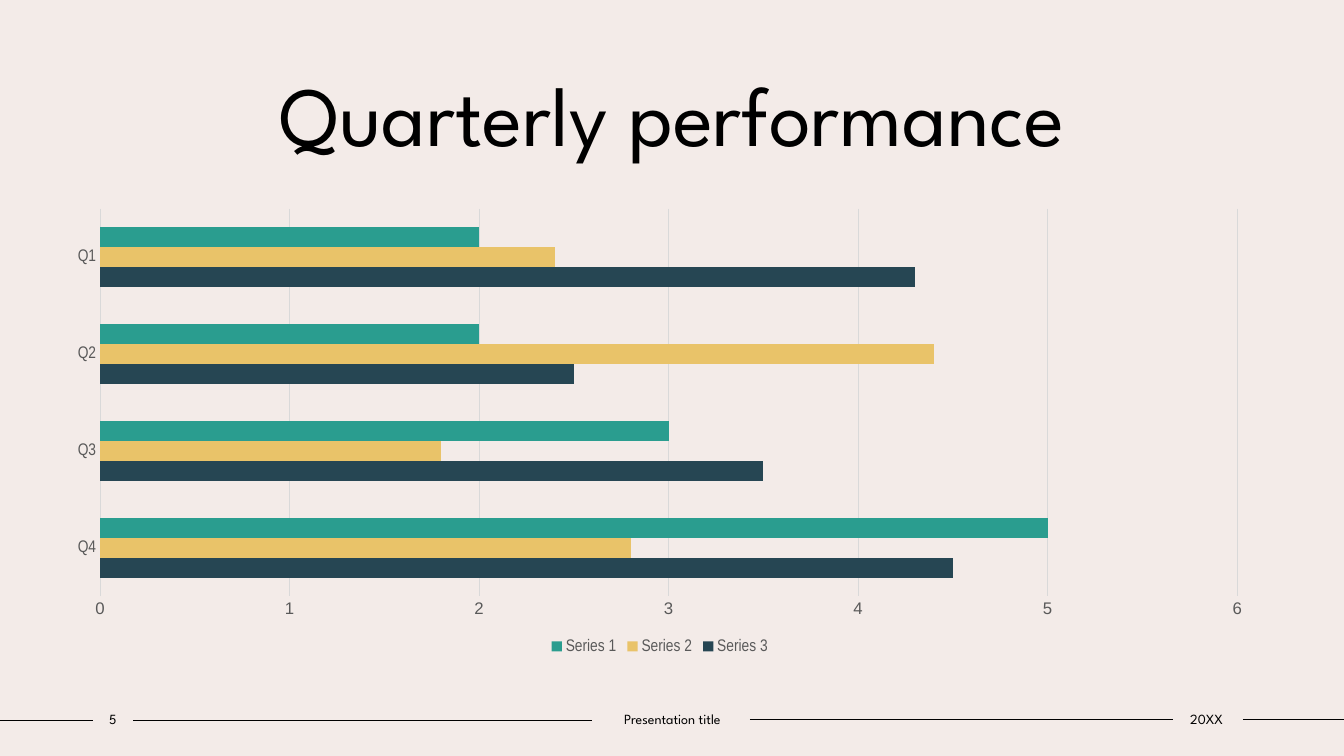
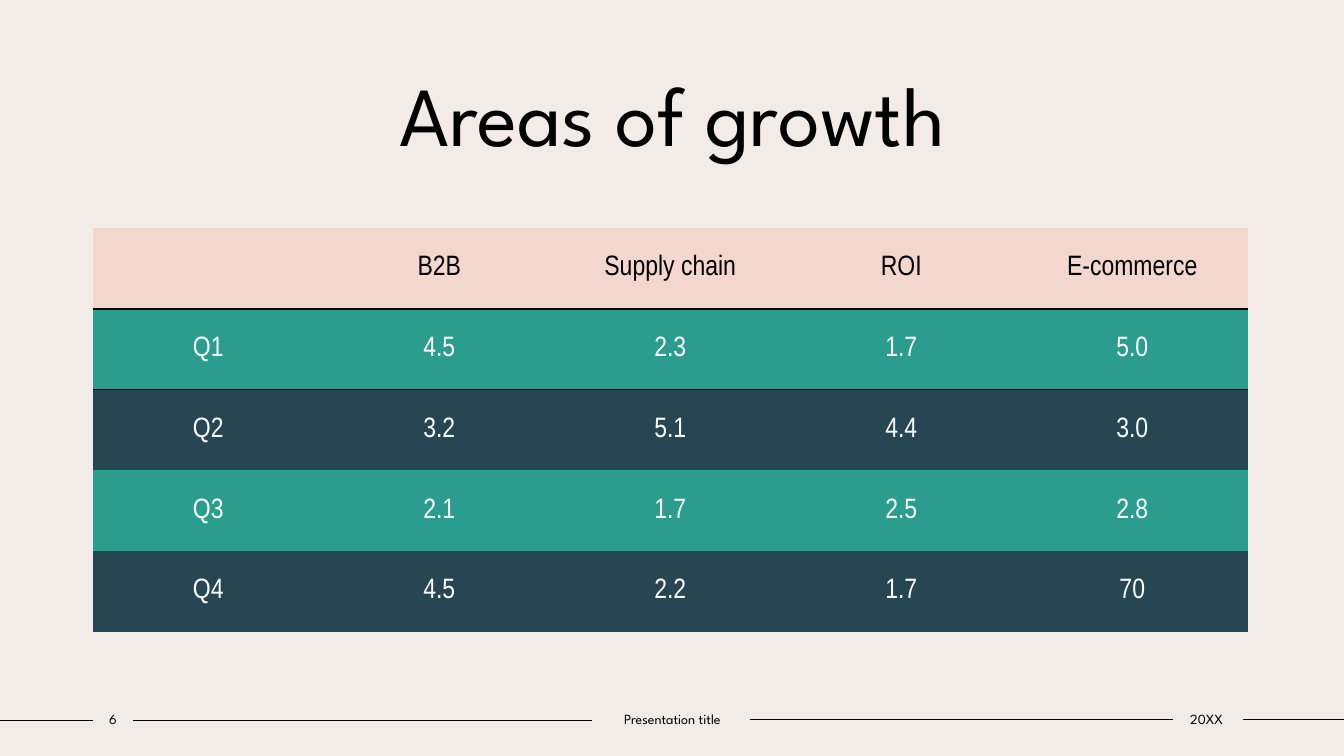
"""Build two report slides: a quarterly bar chart and a growth table."""
from dataclasses import dataclass

from lxml.etree import SubElement
from pptx import Presentation
from pptx.chart.data import CategoryChartData
from pptx.dml.color import RGBColor
from pptx.enum.chart import XL_CHART_TYPE as ChartType, XL_LEGEND_POSITION as LegendPosition
from pptx.enum.chart import XL_TICK_MARK as TickMark
from pptx.enum.shapes import MSO_CONNECTOR as Connector
from pptx.enum.text import MSO_ANCHOR as Anchor, PP_ALIGN as Align
from pptx.oxml import parse_xml
from pptx.oxml.ns import nsdecls, qn
from pptx.slide import Slide
from pptx.util import Inches, Pt

WIDTH, HEIGHT = Inches(13.333), Inches(7.5)
CREAM, BLUSH, BLACK, WHITE = "F3EBE8", "F3D6CD", "000000", "FFFFFF"
TEAL, GOLD, NAVY = "2A9D8F", "E9C369", "264653"
GREY, PALE_GREY = "595959", "D9D9D9"
HEADING_FONT, BODY_FONT, NUMBER_FONT = "League Spartan", "Arial Narrow", "Arial"
NO_STYLE = "{2D5ABB26-0587-4C30-8999-92F81FD0307C}"


@dataclass(frozen=True)
class Area:
    """A rectangle in percent of the slide's width and height."""
    left: float
    top: float
    width: float
    height: float

    def lengths(self) -> tuple[int, int, int, int]:
        """Return left, top, width and height as slide lengths."""
        return across(self.left), down(self.top), across(self.width), down(self.height)


@dataclass(frozen=True)
class Rule:
    """A horizontal footer line in percent of the slide."""
    start: float
    end: float
    level: float


@dataclass(frozen=True)
class Series:
    """One named and coloured run of bars."""
    name: str
    values: tuple[float, ...]
    colour: str


TITLE_AREA = Area(9.38, 7.47, 81.3, 14.8)
CHART_AREA = Area(3.98, 26.4, 90.23, 60.67)
TABLE_AREA = Area(6.9, 30.13, 85.95, 53.47)
NUMBER_AREA, NAME_AREA, DATE_AREA = (
    Area(left, 93.33, width, 3.6) for left, width in ((6.9, 3), (44.03, 12), (87.15, 5.25)))
FOOTER_RULES = (Rule(0, 6.9, 95.3), Rule(9.9, 44.03, 95.3),
                Rule(55.8, 87.3, 95.2), Rule(92.48, 100, 95.2))

QUARTERS = ("Q4", "Q3", "Q2", "Q1")
PERFORMANCE = (
    Series("Series 3", (4.5, 3.5, 2.5, 4.3), NAVY),
    Series("Series 2", (2.8, 1.8, 4.4, 2.4), GOLD),
    Series("Series 1", (5, 3, 2, 2), TEAL),
)
GROWTH = (
    ("", "B2B", "Supply chain", "ROI", "E-commerce"),
    ("Q1", "4.5", "2.3", "1.7", "5.0"),
    ("Q2", "3.2", "5.1", "4.4", "3.0"),
    ("Q3", "2.1", "1.7", "2.5", "2.8"),
    ("Q4", "4.5", "2.2", "1.7", "70"),
)


def across(percent: float) -> int:
    """Return a share of the slide's width."""
    return round(WIDTH * percent / 100)


def down(percent: float) -> int:
    """Return a share of the slide's height."""
    return round(HEIGHT * percent / 100)


def colour(value: str) -> RGBColor:
    """Turn a hex string into a colour."""
    return RGBColor.from_string(value)


def set_font(font, name: str, size: float, shade: str) -> None:
    """Set the typeface, size and colour of a font."""
    font.name, font.size, font.bold = name, Pt(size), False
    font.color.rgb = colour(shade)


def set_line(line, shade: str, width: float) -> None:
    """Set the colour and width of a line."""
    line.color.rgb, line.width = colour(shade), Pt(width)


def add_label(slide: Slide, area: Area, text: str, size: float,
              anchor: Anchor = Anchor.MIDDLE, side_inset: float = 0) -> None:
    """Add centred text in the heading typeface."""
    frame = slide.shapes.add_textbox(*area.lengths()).text_frame
    frame.word_wrap, frame.vertical_anchor = True, anchor
    frame.margin_left = frame.margin_right = Inches(side_inset)
    paragraph = frame.paragraphs[0]
    paragraph.text, paragraph.alignment = text, Align.CENTER
    set_font(paragraph.font, HEADING_FONT, size, BLACK)


def add_rule(slide: Slide, rule: Rule) -> None:
    """Draw one footer line without a shadow."""
    level = down(rule.level)
    connector = slide.shapes.add_connector(
        Connector.STRAIGHT, across(rule.start), level, across(rule.end), level)
    set_line(connector.line, BLACK, 1)
    SubElement(connector._element.spPr, qn("a:effectLst"))


def add_page(presentation: Presentation, title: str, number: int) -> Slide:
    """Add a slide with its background, title and footer."""
    slide = presentation.slides.add_slide(presentation.slide_layouts[6])
    slide.background.fill.solid()
    slide.background.fill.fore_color.rgb = colour(CREAM)
    for rule in FOOTER_RULES:
        add_rule(slide, rule)
    add_label(slide, TITLE_AREA, title, 60, Anchor.BOTTOM, 0.1)
    for area, text in ((NUMBER_AREA, str(number)), (NAME_AREA, "Presentation title"),
                       (DATE_AREA, "20XX")):
        add_label(slide, area, text, 10)
    return slide


def add_bar_chart(slide: Slide) -> None:
    """Add the clustered bars of quarterly performance."""
    data = CategoryChartData()
    data.categories = QUARTERS
    for series in PERFORMANCE:
        data.add_series(series.name, series.values)
    chart = slide.shapes.add_chart(ChartType.BAR_CLUSTERED, *CHART_AREA.lengths(), data).chart
    set_font(chart.font, BODY_FONT, 10, BLACK)
    chart.has_title = False

    plot = chart.plots[0]
    plot.gap_width, plot.overlap, plot.vary_by_categories = 182, 0, False
    for bars, series in zip(plot.series, PERFORMANCE):
        bars.format.fill.solid()
        bars.format.fill.fore_color.rgb = colour(series.colour)

    for axis, font_name in ((chart.category_axis, BODY_FONT), (chart.value_axis, NUMBER_FONT)):
        axis.major_tick_mark = axis.minor_tick_mark = TickMark.NONE
        set_font(axis.tick_labels.font, font_name, 12, GREY)
    set_line(chart.category_axis.format.line, PALE_GREY, 0.75)
    values = chart.value_axis
    values.minimum_scale, values.maximum_scale, values.major_unit = 0, 6, 1
    values.format.line.fill.background()
    set_line(values.major_gridlines.format.line, PALE_GREY, 0.75)

    chart.has_legend = True
    chart.legend.position, chart.legend.include_in_layout = LegendPosition.BOTTOM, False
    set_font(chart.legend.font, BODY_FONT, 12, GREY)


def add_cell_border(cell, side: str) -> None:
    """Draw a black border on one side of a cell, such as lnT or lnB."""
    cell._tc.get_or_add_tcPr().insert(0, parse_xml(
        f'<a:{side} {nsdecls("a")} w="{Pt(1.5)}"><a:solidFill>'
        f'<a:srgbClr val="{BLACK}"/></a:solidFill></a:{side}>'))


def add_growth_table(slide: Slide) -> None:
    """Add the table of growth areas with alternating row colours."""
    table = slide.shapes.add_table(len(GROWTH), len(GROWTH[0]), *TABLE_AREA.lengths()).table
    table.horz_banding = False
    table._tbl.tblPr.find(qn("a:tableStyleId")).text = NO_STYLE
    for row, texts in enumerate(GROWTH):
        fill = BLUSH if row == 0 else (NAVY, TEAL)[row % 2]
        for column, text in enumerate(texts):
            cell = table.cell(row, column)
            cell.vertical_anchor = Anchor.MIDDLE
            cell.fill.solid()
            cell.fill.fore_color.rgb = colour(fill)
            paragraph = cell.text_frame.paragraphs[0]
            paragraph.text, paragraph.alignment = text, Align.CENTER
            set_font(paragraph.font, BODY_FONT, 20, WHITE if row else BLACK)
            if row < 2:
                add_cell_border(cell, ("lnB", "lnT")[row])


def main() -> None:
    """Build and save the presentation."""
    presentation = Presentation()
    presentation.slide_width, presentation.slide_height = WIDTH, HEIGHT
    add_bar_chart(add_page(presentation, "Quarterly performance", 5))
    add_growth_table(add_page(presentation, "Areas of growth", 6))
    presentation.save("out.pptx")


if __name__ == "__main__":
    main()
